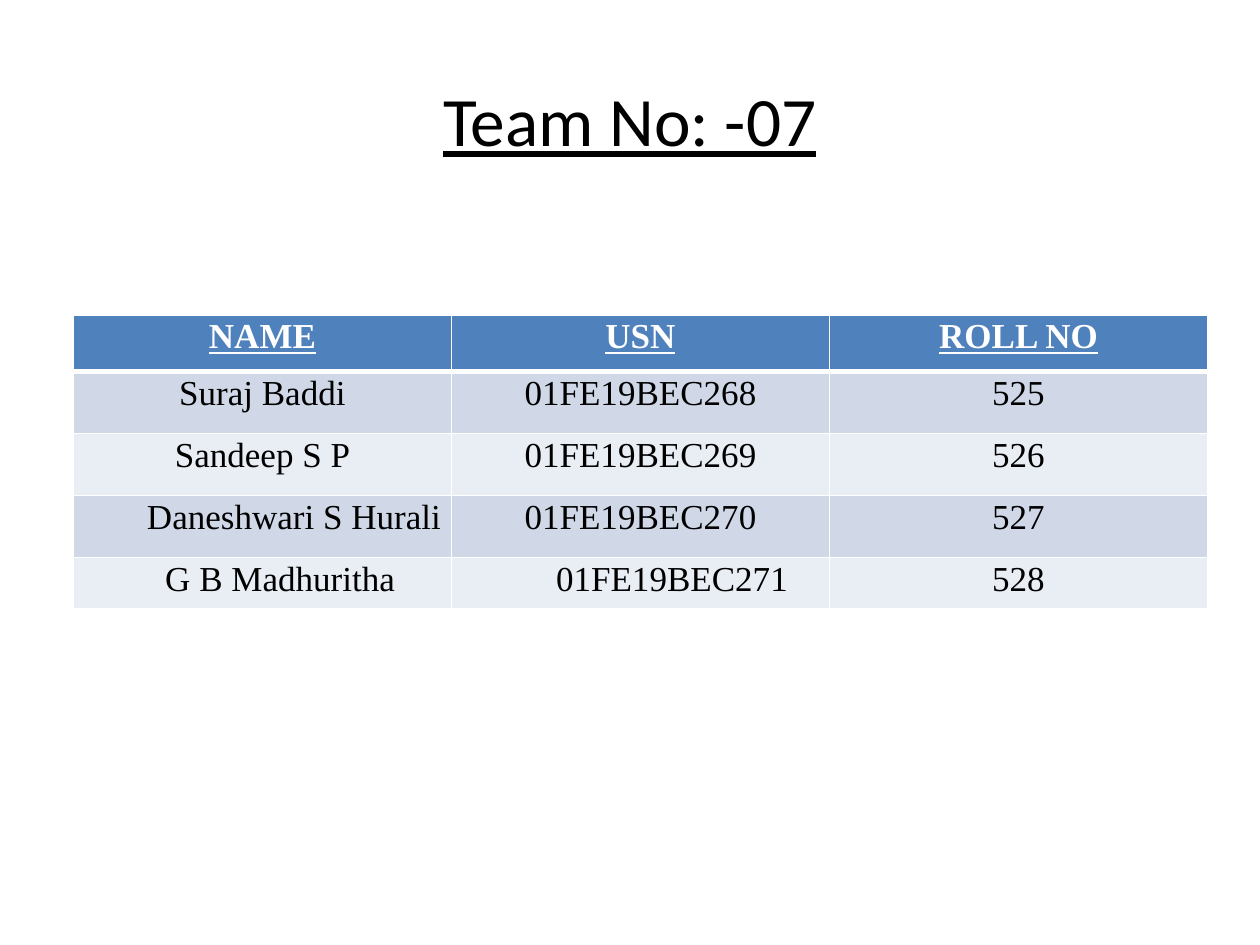
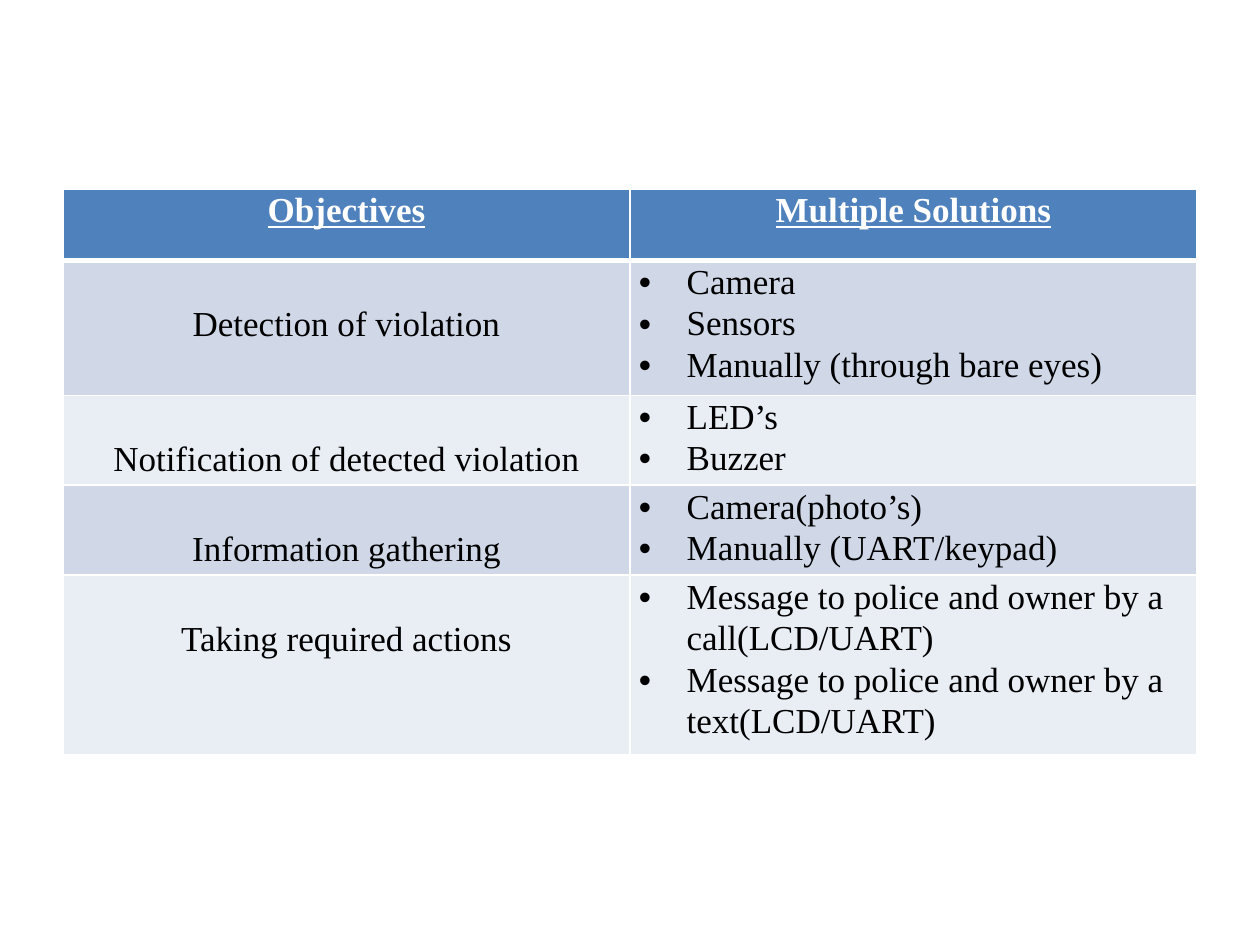
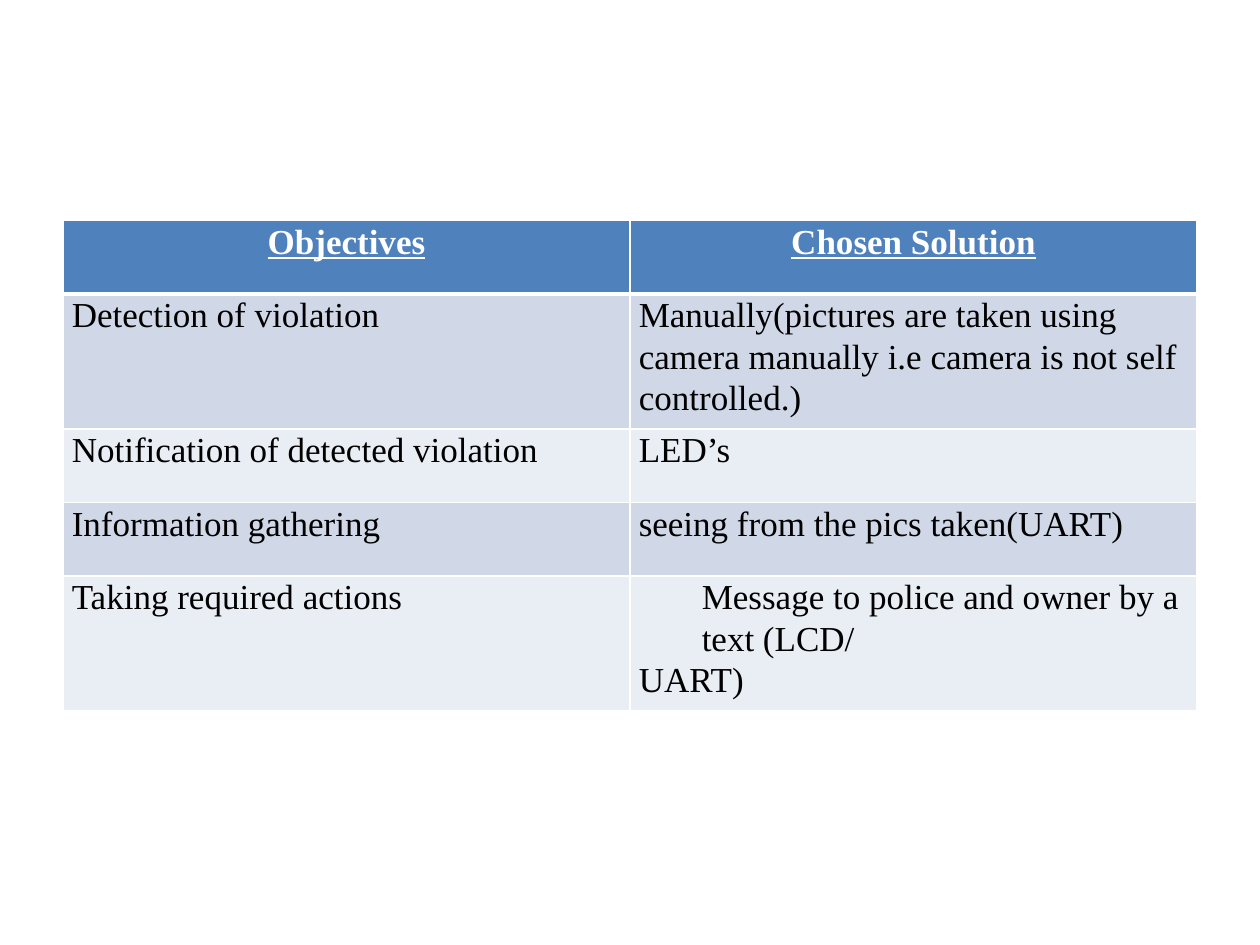
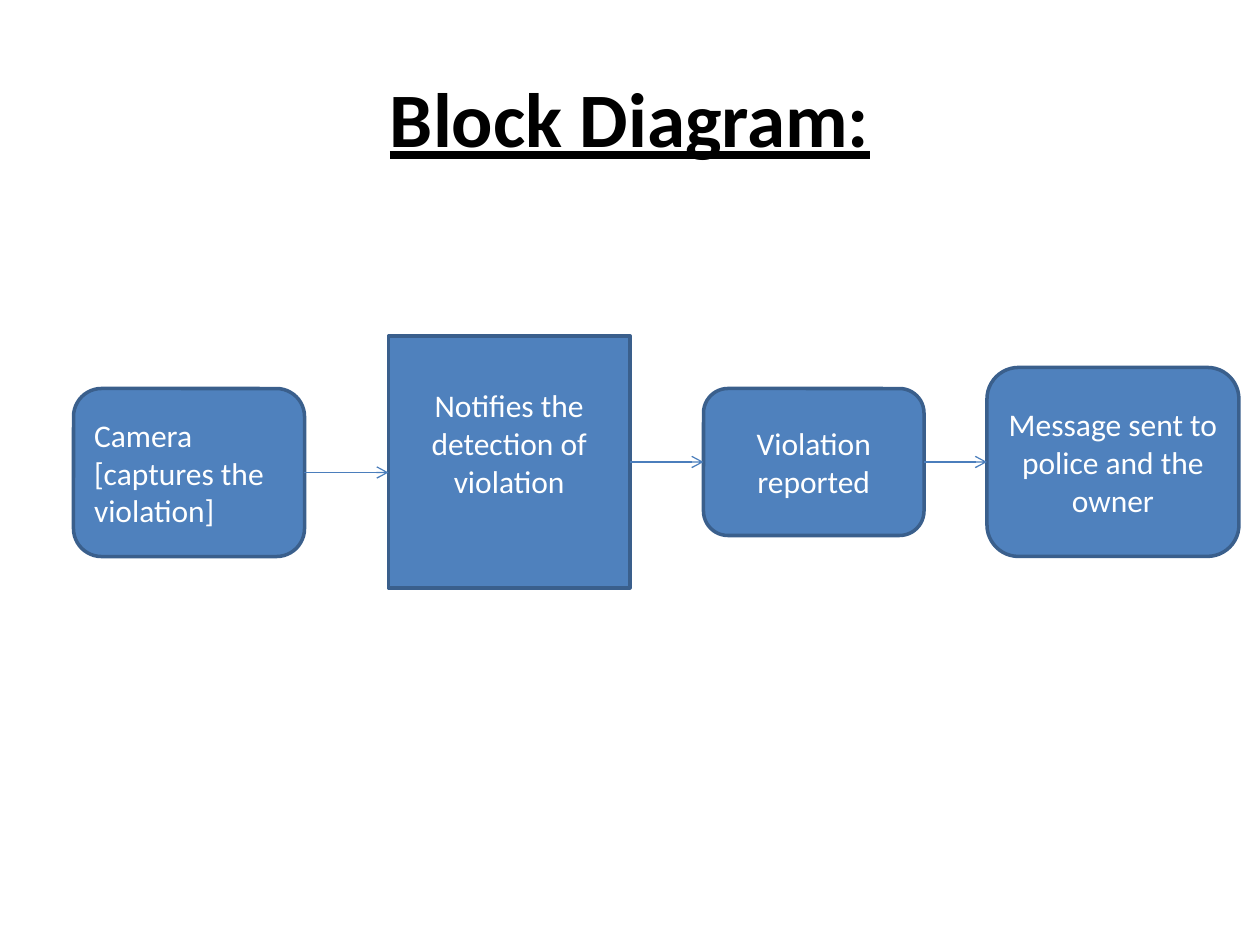
import dataclasses

import lxml.etree
import pptx
import pptx.dml.color
import pptx.enum.shapes
import pptx.enum.text
import pptx.oxml.ns
import pptx.util

COLORS = {
    "black": "000000",
    "white": "FFFFFF",
    "blue": "4F81BD",
    "outline": "3A5F8C",
    "arrow": "4B7EBC",
    "band_dark": "D0D8E8",
    "band_light": "E9EDF4",
}
ALIGN = pptx.enum.text.PP_ALIGN
ANCHOR = pptx.enum.text.MSO_ANCHOR
SHAPE = pptx.enum.shapes.MSO_SHAPE


@dataclasses.dataclass
class Entry:
    """A table paragraph that departs from its column's alignment or indent."""
    text: str
    align: ALIGN = None
    indent: float = 0
    bullet: bool = False


def bullets(*texts):
    return [Entry(text, ALIGN.LEFT, 0.38, True) for text in texts]


def add_xml(parent, tag, **attributes):
    return lxml.etree.SubElement(parent, pptx.oxml.ns.qn(tag), attributes)


class Deck:
    """Holds the style and the current slide; lengths are cells of a 120 x 90 grid."""
    COLUMNS, ROWS = 120, 90
    HEADING_FONT, TABLE_FONT = "Calibri", "Times New Roman"

    def __init__(self):
        self.presentation = pptx.Presentation()
        self.presentation.slide_width = pptx.util.Inches(10)
        self.presentation.slide_height = pptx.util.Inches(7.5)
        self.slide = None

    def new_slide(self):
        self.slide = self.presentation.slides.add_slide(self.presentation.slide_layouts[6])

    def across(self, columns):
        return round(self.presentation.slide_width * columns / self.COLUMNS)

    def down(self, rows):
        return round(self.presentation.slide_height * rows / self.ROWS)

    def area(self, left, top, width, height):
        return self.across(left), self.down(top), self.across(width), self.down(height)

    @staticmethod
    def color(name):
        return pptx.dml.color.RGBColor.from_string(COLORS[name])

    def fill(self, target, name):
        target.fill.solid()
        target.fill.fore_color.rgb = self.color(name)

    def style(self, paragraph, font, size, color, align, strong=False, underline=False):
        paragraph.alignment = align
        paragraph.font.name = font
        paragraph.font.size = pptx.util.Pt(size)
        paragraph.font.color.rgb = self.color(color)
        paragraph.font.bold = strong
        paragraph.font.underline = underline

    def title(self, text, top, height, size, anchor, strong=False):
        frame = self.slide.shapes.add_textbox(*self.area(6, top, 108, height)).text_frame
        frame.word_wrap = True
        frame.vertical_anchor = anchor
        frame.margin_top = frame.margin_bottom = 0
        frame.text = text
        self.style(frame.paragraphs[0], self.HEADING_FONT, size, "black", ALIGN.CENTER,
                   strong, underline=True)

    def table(self, left, top, height, row_heights, rows, aligns, first_column_drop=0):
        """Draw a banded table; first_column_drop lowers the text of body cells, in points."""
        holder = self.slide.shapes.add_table(len(rows), len(aligns),
                                             *self.area(left, top, 108, height))
        table = holder.table
        table.first_row = table.horz_banding = False
        for row_no, (row, row_height) in enumerate(zip(rows, row_heights)):
            table.rows[row_no].height = self.down(row_height)
            header = row_no == 0
            band = "blue" if header else "band_dark" if row_no % 2 else "band_light"
            for column_no, content in enumerate(row):
                cell = table.cell(row_no, column_no)
                self.borders(cell, top=3 if row_no == 1 else 1, bottom=3 if header else 1)
                self.fill(cell, band)
                cell.margin_left = cell.margin_right = pptx.util.Inches(0.07)
                drop = first_column_drop if row_no and not column_no else 0
                cell.margin_top, cell.margin_bottom = pptx.util.Pt(drop), 0
                align = ALIGN.CENTER if header else aligns[column_no]
                self.cell_text(cell, content, align, header)
        holder.height = self.down(height)

    def cell_text(self, cell, content, align, header):
        entries = content if isinstance(content, list) else [content]
        for number, entry in enumerate(entries):
            if isinstance(entry, str):
                entry = Entry(entry)
            frame = cell.text_frame
            paragraph = frame.add_paragraph() if number else frame.paragraphs[0]
            paragraph.text = entry.text
            paragraph.line_spacing = 1.07
            properties = paragraph._p.get_or_add_pPr()
            if entry.indent:
                indent = pptx.util.Inches(entry.indent)
                properties.set("marL", str(indent))
                properties.set("indent", str(-indent if entry.bullet else 0))
            if entry.bullet:
                add_xml(properties, "a:buFont", typeface="Arial")
                add_xml(properties, "a:buChar", char="•")
            self.style(paragraph, self.TABLE_FONT, 20, "white" if header else "black",
                       entry.align or align, header, header)

    def borders(self, cell, top, bottom):
        properties = cell._tc.get_or_add_tcPr()
        for side, points in (("L", 1), ("R", 1), ("T", top), ("B", bottom)):
            line = add_xml(properties, f"a:ln{side}", w=str(pptx.util.Pt(points)))
            add_xml(add_xml(line, "a:solidFill"), "a:srgbClr", val=COLORS["white"])

    def block(self, kind, text, bounds, align=ALIGN.CENTER, lift=0):
        """Draw a labelled block; lift widens the bottom margin, in inches."""
        shape = self.slide.shapes.add_shape(kind, *self.area(*bounds))
        shape.shadow.inherit = False
        self.fill(shape, "blue")
        shape.line.color.rgb = self.color("outline")
        shape.line.width = pptx.util.Pt(2)
        frame = shape.text_frame
        frame.word_wrap = True
        frame.vertical_anchor = ANCHOR.MIDDLE
        frame.margin_bottom = pptx.util.Inches(0.05 + lift)
        frame.text = text
        self.style(frame.paragraphs[0], self.HEADING_FONT, 18, "white", align)
        return shape

    def arrow(self, source, target):
        """Run level from the middle of the source's right side to the target."""
        level = source.top + source.height // 2
        connector = self.slide.shapes.add_connector(
            pptx.enum.shapes.MSO_CONNECTOR.STRAIGHT,
            source.left + source.width, level, target.left, level)
        connector.line.color.rgb = self.color("arrow")
        connector.line.width = pptx.util.Pt(0.75)
        add_xml(connector.line._get_or_add_ln(), "a:tailEnd", type="arrow")
        add_xml(connector._element.spPr, "a:effectLst")


def team_slide(deck):
    deck.new_slide()
    deck.title("Team No: -07", 7.4, 14, 39.6, ANCHOR.TOP)
    members = [
        ["NAME", "USN", "ROLL NO"],
        ["Suraj Baddi", "01FE19BEC268", "525"],
        ["Sandeep S P", "01FE19BEC269", "526"],
        [Entry("Daneshwari S Hurali", indent=0.5), "01FE19BEC270", "527"],
        [Entry("G B Madhuritha", indent=0.28), Entry("01FE19BEC271", indent=0.5), "528"],
    ]
    deck.table(7, 30, 28, [5.4, 5.9, 5.9, 5.9, 4.9], members, [ALIGN.CENTER] * 3)


def solutions_slide(deck):
    deck.new_slide()
    solutions = [
        ["Objectives", "Multiple Solutions"],
        ["Detection of violation",
         bullets("Camera", "Sensors", "Manually (through bare eyes)")],
        ["Notification of detected violation", bullets("LED’s", "Buzzer")],
        ["Information gathering", bullets("Camera(photo’s)", "Manually (UART/keypad)")],
        ["Taking required actions",
         bullets("Message to police and owner by a call(LCD/UART)",
                 "Message to police and owner by a text(LCD/UART)")],
    ]
    deck.table(6, 18, 53, [6.8, 10.7, 7.2, 7.2, 7.2], solutions,
               [ALIGN.CENTER, ALIGN.LEFT], first_column_drop=24)


def choice_slide(deck):
    deck.new_slide()
    choices = [
        ["Objectives", "Chosen Solution"],
        ["Detection of violation",
         "Manually(pictures are taken using camera manually i.e camera is not self controlled.)"],
        ["Notification of detected violation", "LED’s"],
        ["Information gathering", "seeing from the pics taken(UART)"],
        ["Taking required actions",
         [Entry("Message to police and owner by a text (LCD/", indent=0.5), "UART)"]],
    ]
    deck.table(6, 21, 46, [7, 7.3, 7, 7, 7], choices, [ALIGN.LEFT] * 2)


def diagram_slide(deck):
    deck.new_slide()
    deck.title("Block Diagram:", 3.6, 15, 44, ANCHOR.MIDDLE, strong=True)
    rounded = SHAPE.ROUNDED_RECTANGLE
    stages = [
        deck.block(rounded, "Camera [captures the violation]", (7, 37, 22, 16), ALIGN.LEFT),
        deck.block(SHAPE.RECTANGLE, "Notifies the detection of violation",
                   (37, 32, 23, 24), lift=0.3),
        deck.block(rounded, "Violation reported", (67, 37, 21, 14)),
        deck.block(rounded, "Message sent to police and the owner", (94, 35, 24, 18)),
    ]
    for source, target in zip(stages, stages[1:]):
        deck.arrow(source, target)


def main():
    deck = Deck()
    for build in (team_slide, solutions_slide, choice_slide, diagram_slide):
        build(deck)
    deck.presentation.save("out.pptx")


if __name__ == "__main__":
    main()
